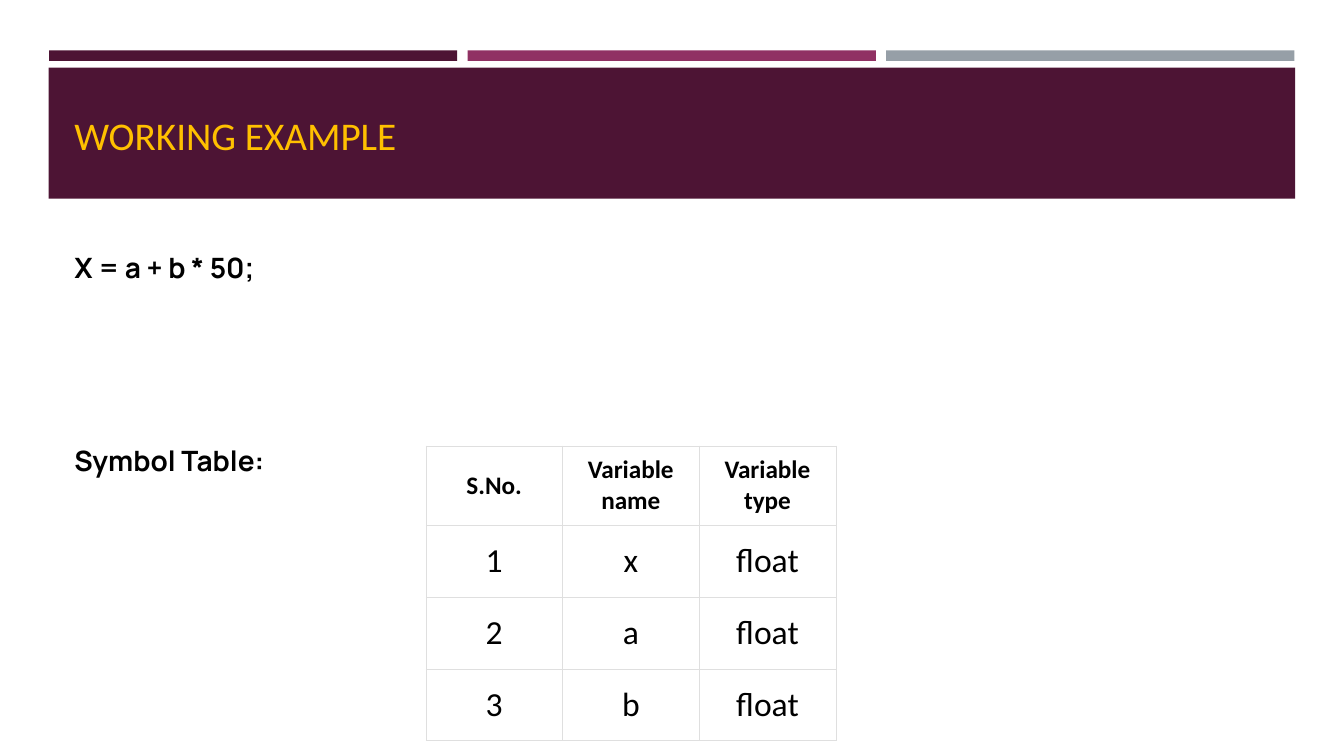
"""Build the working example slide with its symbol table."""
from dataclasses import dataclass

from lxml import etree
from pptx import Presentation
from pptx.dml.color import RGBColor
from pptx.enum import shapes, text
from pptx.oxml import ns
from pptx.util import Pt

PLUM = RGBColor(0x4D, 0x14, 0x34)
MAGENTA = RGBColor(0x90, 0x31, 0x63)
GRAY = RGBColor(0x96, 0x9F, 0xA7)
GOLD = RGBColor(0xFF, 0xC0, 0x00)
BLACK = RGBColor(0, 0, 0)
WHITE = RGBColor(0xFF, 0xFF, 0xFF)
BORDER = RGBColor(0xDF, 0xDF, 0xDF)

BAR_LEFT, BAR_STEP, BAR_WIDTH = 35, 299, 291.6
SYMBOLS = [
    ("S.No.", "Variable name", "Variable type"),
    ("1", "x", "float"),
    ("2", "a", "float"),
    ("3", "b", "float"),
]
COLUMN_WIDTH, HEADER_HEIGHT, ROW_HEIGHT = 97.6, 57, 51.2


@dataclass(frozen=True)
class Band:
    left: float
    top: float
    width: float
    height: float
    color: RGBColor


@dataclass(frozen=True)
class Style:
    font: str
    size: float
    color: RGBColor
    bold: bool = False


@dataclass(frozen=True)
class Label:
    words: str
    top: float
    height: float
    style: Style


TITLE = Style("Calibri", 28, GOLD)
STATEMENT = Style("Manrope", 20, BLACK, True)
HEADER = Style("Calibri", 18, BLACK, True)
ENTRY = Style("Calibri", 24, BLACK)

BANDS = [
    Band(BAR_LEFT + i * BAR_STEP, 36, BAR_WIDTH, 7.5, color)
    for i, color in enumerate((PLUM, MAGENTA, GRAY))
] + [Band(34.8, 48.4, 890.4, 93.6, PLUM)]
LABELS = [
    Label("WORKING EXAMPLE", 75.4, 41.2, TITLE),
    Label("X = a + b * 50;", 176, 30, STATEMENT),
    Label("Symbol Table:", 314, 30, STATEMENT),
]


def draw_band(slide, band: Band) -> None:
    bar = slide.shapes.add_shape(
        shapes.MSO_SHAPE.RECTANGLE,
        Pt(band.left), Pt(band.top), Pt(band.width), Pt(band.height))
    bar.shadow.inherit = False
    bar.fill.solid()
    bar.fill.fore_color.rgb = band.color
    bar.line.fill.background()


def add_words(paragraph, words: str, style: Style) -> None:
    run = paragraph.add_run()
    run.text = words
    run.font.name = style.font
    run.font.size = Pt(style.size)
    run.font.bold = style.bold
    run.font.color.rgb = style.color


def draw_label(slide, label: Label) -> None:
    box = slide.shapes.add_textbox(
        Pt(46), Pt(label.top), Pt(868.4), Pt(label.height))
    frame = box.text_frame
    frame.word_wrap = True
    frame.vertical_anchor = text.MSO_ANCHOR.MIDDLE
    add_words(frame.paragraphs[0], label.words, label.style)


def outline_cell(cell) -> None:
    properties = cell._tc.get_or_add_tcPr()
    for position, side in enumerate(("lnL", "lnR", "lnT", "lnB")):
        edge = etree.Element(ns.qn(f"a:{side}"), w=str(Pt(0.15)))
        fill = etree.SubElement(edge, ns.qn("a:solidFill"))
        etree.SubElement(fill, ns.qn("a:srgbClr"), val=str(BORDER))
        properties.insert(position, edge)


def fill_cell(cell, words: str, style: Style, side: float, end: float) -> None:
    cell.fill.solid()
    cell.fill.fore_color.rgb = WHITE
    cell.vertical_anchor = text.MSO_ANCHOR.MIDDLE
    cell.margin_left = cell.margin_right = Pt(side)
    cell.margin_top = cell.margin_bottom = Pt(end)
    paragraph = cell.text_frame.paragraphs[0]
    paragraph.alignment = text.PP_ALIGN.CENTER
    add_words(paragraph, words, style)
    outline_cell(cell)


def draw_symbol_table(slide) -> None:
    row_count, column_count = len(SYMBOLS), len(SYMBOLS[0])
    symbol_table = slide.shapes.add_table(
        row_count, column_count, Pt(304.2), Pt(318.4),
        Pt(COLUMN_WIDTH * column_count),
        Pt(HEADER_HEIGHT + ROW_HEIGHT * (row_count - 1))).table
    symbol_table.horz_banding = False
    for column in symbol_table.columns:
        column.width = Pt(COLUMN_WIDTH)
    for r, entries in enumerate(SYMBOLS):
        symbol_table.rows[r].height = Pt(ROW_HEIGHT if r else HEADER_HEIGHT)
        style, side, end = (ENTRY, 5, 7.2) if r else (HEADER, 1.5, 1.5)
        for c, words in enumerate(entries):
            fill_cell(symbol_table.cell(r, c), words, style, side, end)


def main() -> None:
    deck = Presentation()
    deck.slide_width, deck.slide_height = Pt(960), Pt(540)
    slide = deck.slides.add_slide(deck.slide_layouts[6])
    for band in BANDS:
        draw_band(slide, band)
    for label in LABELS:
        draw_label(slide, label)
    draw_symbol_table(slide)
    deck.save("out.pptx")


if __name__ == "__main__":
    main()
